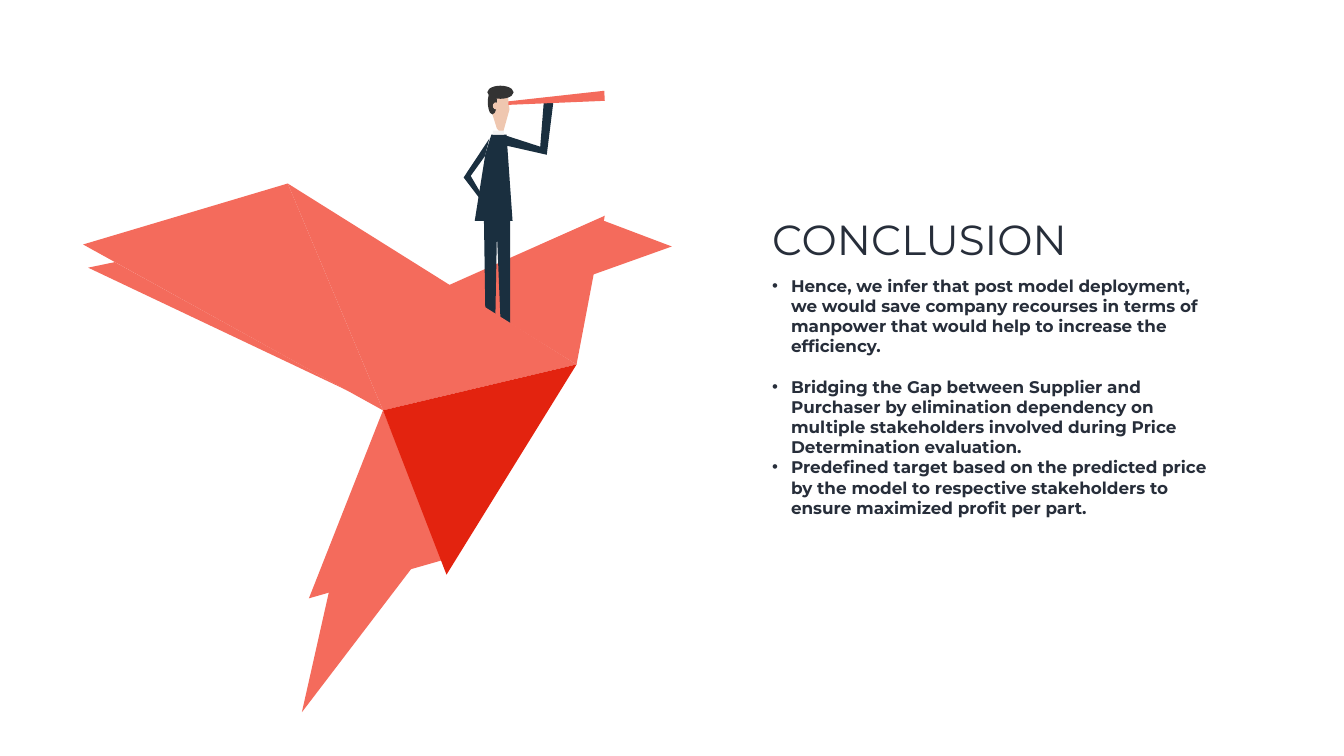
from lxml import etree
from pptx import Presentation
from pptx.dml.color import RGBColor
from pptx.enum.shapes import MSO_SHAPE
from pptx.enum.text import MSO_AUTO_SIZE
from pptx.oxml.ns import qn
from pptx.util import Cm, Pt

FONT = "Montserrat"
CORAL, RED, NAVY = "F46B5C", "E3230F", "1A2F3F"
SKIN, HAIR, COLLAR, INK = "EFC7B0", "333333", "F2F2F2", "272E3A"

# Corners lie on a grid ART_UNITS wide; the folds of the bird share these three.
ART_UNITS = 1168
WING, BREAST, HEART = (406, 194), (979, 553), (595, 644)
BIRD_BACK = [
    (CORAL, [(434, 1243), (488, 1003), (656, 952)]),  # lower tail
    (CORAL, [(1168, 319), (1028, 266), (1000, 379)]),  # head
    (CORAL, [(725, 396), (1035, 258), BREAST]),  # neck
]
SUIT = [
    (NAVY, [(795, 249), (847, 249), (847, 510), (830, 510), (821, 293), (817, 510),
            (799, 510)]),  # legs
    (NAVY, [(852, 268), (777, 268), (798, 136), (810, 97), (840, 97)]),  # jacket
]
FACE = [(SKIN, [(809, 15), (842, 14), (846, 47), (832, 97), (821, 85), (809, 47)])]
# Each preset shape of the head: kind, colour, left, top, width, height
HEAD = [
    (MSO_SHAPE.RECTANGLE, COLLAR, 813, 89, 22, 8),
    (MSO_SHAPE.OVAL, HAIR, 803, 8, 18, 49),
    (MSO_SHAPE.OVAL, HAIR, 802, 0, 52, 26),
    (MSO_SHAPE.OVAL, SKIN, 813, 33, 12, 14),
]
ARMS = [
    (NAVY, [(839, 99), (907, 121), (914, 33), (933, 33), (920, 137), (836, 118)]),
    (NAVY, [(806, 105), (755, 182), (787, 224), (789, 213), (769, 179), (797, 140)]),
    (CORAL, [(1035, 30), (844, 38), (844, 31), (1034, 10)]),  # telescope
]
BIRD_FRONT = [
    (CORAL, [WING, BREAST, HEART]),  # body
    (CORAL, [(0, 315), WING, HEART]),  # upper wing
    (CORAL, [(10, 361), (63, 350), (525, 605)]),  # lower wing
    (CORAL, [(448, 1017), HEART, (714, 941)]),  # upper tail
    (RED, [(721, 970), HEART, BREAST]),  # belly
]

BULLETS = [
    "Hence, we infer that post model deployment, we would save company recourses in terms of "
    "manpower that would help to increase the efficiency.",
    "Bridging the Gap between Supplier and Purchaser by elimination dependency on multiple "
    "stakeholders involved during Price Determination evaluation.",
    "Predefined target based on the predicted price by the model to respective stakeholders to "
    "ensure maximized profit per part.",
]


def rgb(color):
    return RGBColor.from_string(color)


def paint(sp, color):
    sp.shadow.inherit = False
    sp.fill.solid()
    sp.fill.fore_color.rgb = rgb(color)
    sp.line.fill.background()


def add_illustration(slide, left, top, width):
    shapes = slide.shapes.add_group_shape().shapes
    scale = width / ART_UNITS

    def add_polygons(polygons):
        for color, (start, *rest) in polygons:
            builder = shapes.build_freeform(*start, scale=scale)
            builder.add_line_segments(rest, close=True)
            paint(builder.convert_to_shape(left, top), color)

    add_polygons(BIRD_BACK + SUIT + FACE)
    for kind, color, x, y, w, h in HEAD:
        x, y, w, h = (round(n * scale) for n in (x, y, w, h))
        paint(shapes.add_shape(kind, left + x, top + y, w, h), color)
    add_polygons(ARMS + BIRD_FRONT)


def add_text_frame(slide, left, top, width, height):
    tf = slide.shapes.add_textbox(left, top, width, height).text_frame
    tf.word_wrap = True
    tf.auto_size = MSO_AUTO_SIZE.SHAPE_TO_FIT_TEXT
    return tf


def add_run(p, text, size, bold=False):
    r = p.add_run()
    r.text = text
    r.font.name = FONT
    r.font.size = Pt(size)
    r.font.bold = bold
    r.font.color.rgb = rgb(INK)


def set_bullet(p, indent):
    pPr = p._p.get_or_add_pPr()
    pPr.set("marL", str(indent))
    pPr.set("indent", str(-indent))
    etree.SubElement(pPr, qn("a:buFont")).set("typeface", "Arial")
    etree.SubElement(pPr, qn("a:buChar")).set("char", "•")


def add_conclusion(slide, left, top, width):
    title = add_text_frame(slide, left, top, width, Cm(2.82))
    add_run(title.paragraphs[0], "CONCLUSION", 60)

    tf = add_text_frame(slide, left, top + Cm(3.12), width - Cm(1.93), Cm(13.59))
    for i, text in enumerate(BULLETS):
        p = tf.paragraphs[0] if i == 0 else tf.add_paragraph()
        p.space_after = Pt(29 if i == 0 else 0)
        set_bullet(p, Cm(0.95))
        add_run(p, text, 24, bold=True)


def main():
    prs = Presentation()
    prs.slide_width, prs.slide_height = Cm(67.74), Cm(38.1)
    slide = prs.slides.add_slide(prs.slide_layouts[6])
    add_illustration(slide, Cm(4.19), Cm(4.32), Cm(29.67))
    add_conclusion(slide, Cm(38.67), Cm(10.64), Cm(24.97))
    prs.save("out.pptx")


if __name__ == "__main__":
    main()
